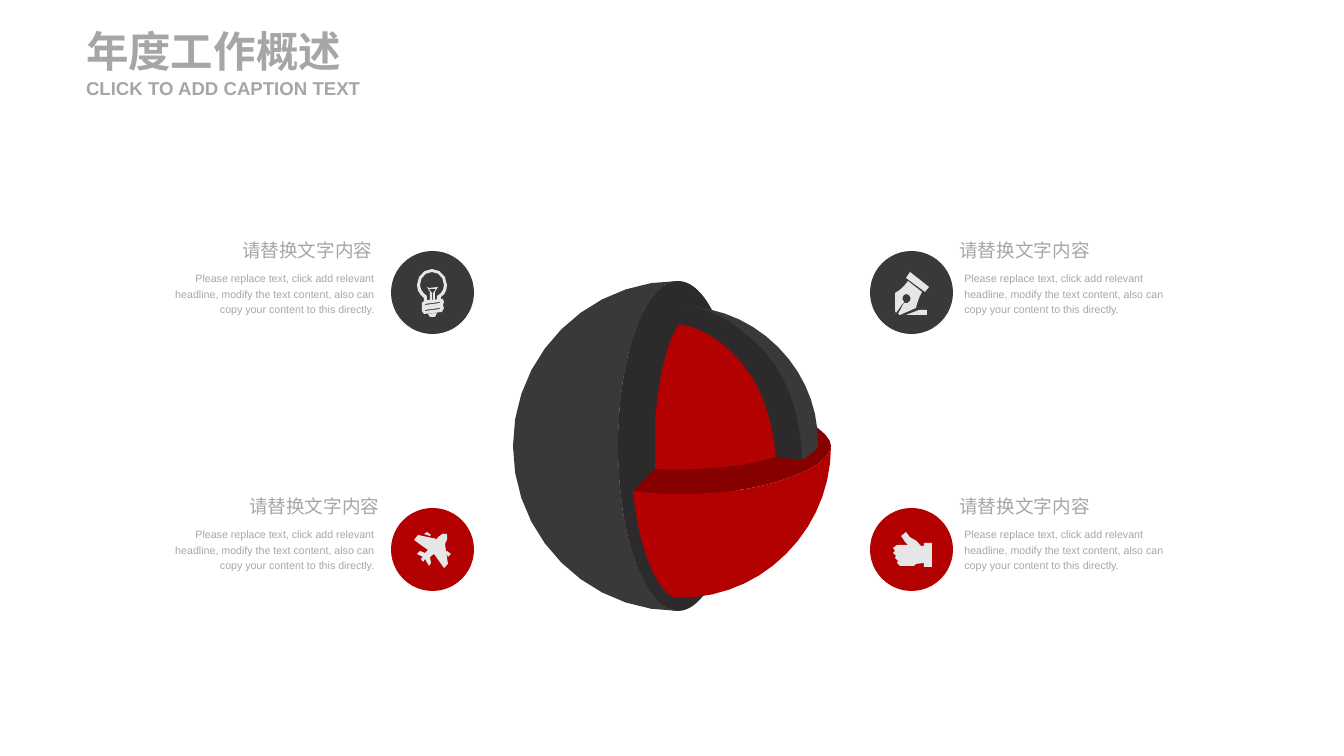
from math import ceil, dist, sqrt

from pptx import Presentation
from pptx.dml.color import RGBColor
from pptx.enum.shapes import MSO_SHAPE
from pptx.enum.text import MSO_ANCHOR, MSO_AUTO_SIZE, PP_ALIGN
from pptx.util import Pt

PX = 9565  # EMU per pixel
COLORS = {"dark": "3A3838", "shade": "2C2A2A", "red": "B30000",
          "deep": "860000", "icon": "E7E6E6", "text": "A6A6A6"}

deck = Presentation()
deck.slide_width, deck.slide_height = 1344 * PX, 756 * PX
slide = deck.slides.add_slide(deck.slide_layouts[5])
shapes = slide.shapes


def trace(color, *loops):
    """Fill loops of points (x, y) and cubic curves (two handles, end)."""
    pen = None
    for loop in loops:
        x, y = loop[0]
        dots = []
        for part in loop[1:]:
            if len(part) == 6:
                a, b, c, d, e, f = part
                # Longer curves get more straight pieces
                steps = ceil(0.6 * sqrt(dist((x, y), (e, f))))
                for i in range(1, steps + 1):
                    t = i / steps
                    u = 1 - t
                    dots.append((
                        (u**3 * x + 3*u*u*t * a + 3*u*t*t * c + t**3 * e) * PX,
                        (u**3 * y + 3*u*u*t * b + 3*u*t*t * d + t**3 * f) * PX))
            else:
                dots.append((part[0] * PX, part[1] * PX))
            x, y = part[-2:]
        start = (loop[0][0] * PX, loop[0][1] * PX)
        if pen is None:
            pen = shapes.build_freeform(*start, scale=1.0)
        else:
            pen.move_to(*start)
        pen.add_line_segments(dots, close=True)
    shape = pen.convert_to_shape()
    shape.shadow.inherit = False
    shape.fill.solid()
    shape.fill.fore_color.rgb = RGBColor.from_string(COLORS[color])
    shape.line.fill.background()


def write(shape, box, text, size, align=PP_ALIGN.LEFT, wrap=True, head=False):
    shape.left, shape.top, shape.width, shape.height = [v * PX for v in box]
    frame = shape.text_frame
    frame.word_wrap = wrap
    frame.auto_size = MSO_AUTO_SIZE.SHAPE_TO_FIT_TEXT
    para = frame.paragraphs[0]
    para.alignment = align
    if head:
        frame.vertical_anchor = MSO_ANCHOR.MIDDLE
        frame.margin_left = frame.margin_right = 0
        frame.margin_top = frame.margin_bottom = 0
    else:
        para.line_spacing = 1.2
    run = para.add_run()
    run.text = text
    run.font.name = "Arial"
    run.font.size = Pt(size)
    run.font.bold = head
    run.font.color.rgb = RGBColor.from_string(COLORS["text"])


# Title and caption
write(shapes.title, (86, 25, 293, 52), "年度工作概述", 32, head=True)
write(shapes.add_textbox(0, 0, 0, 0), (86, 77, 293, 23),
      "CLICK TO ADD CAPTION TEXT", 14, head=True)

# Disks and the cut face of the sphere
disks = [(618, 281, 120, 330, "shade")]
for x in (870, 391):
    disks += [(x, 508, 83, 83, "red"), (x, 251, 83, 83, "dark")]
for x, y, w, h, color in disks:
    disk = shapes.add_shape(MSO_SHAPE.OVAL, x * PX, y * PX, w * PX, h * PX)
    disk.shadow.inherit = False
    disk.fill.solid()
    disk.fill.fore_color.rgb = RGBColor.from_string(COLORS[color])
    disk.line.fill.background()

# Sphere parts, from back to front
ball = [
    ("dark", [(618, 446), (618, 355, 645, 281, 678, 281),
              (587, 281, 513, 355, 513, 446), (513, 537, 587, 611, 678, 611),
              (645, 611, 618, 537, 618, 446)]),
    ("deep", [(791, 415), (772, 408, 749, 403, 724, 401), (633, 491),
              (647, 493, 662, 494, 678, 494), (721, 494, 761, 489, 791, 477),
              (820, 467, 831, 454, 831, 446), (831, 438, 820, 425, 791, 415)]),
    ("red", [(831, 446), (831, 454, 820, 467, 791, 477),
             (761, 489, 721, 494, 678, 494), (662, 494, 647, 493, 633, 491),
             (636, 517, 640, 540, 647, 558), (658, 588, 670, 598, 678, 598),
             (719, 598, 757, 583, 786, 554), (815, 525, 831, 487, 831, 446)]),
    ("dark", [(762, 352), (785, 381, 802, 422, 802, 460),
              (814, 453, 818, 448, 818, 446), (819, 408, 804, 373, 778, 347),
              (751, 320, 716, 306, 678, 306), (716, 306, 754, 341, 762, 352)]),
    ("shade", [(678, 306), (678, 446), (802, 460),
               (802, 422, 789, 376, 762, 349), (741, 328, 716, 306, 678, 306)]),
    ("red", [(776, 457), (773, 423, 762, 387, 744, 366),
             (724, 342, 704, 328, 679, 324), (676, 328, 673, 334, 670, 342),
             (662, 364, 657, 392, 655, 423), (655, 469),
             (679, 471, 740, 469, 776, 457)]),
]
for color, loop in ball:
    trace(color, loop)

# Icons on the disks
thumb = [[(906, 532), (894, 534, 908, 544, 908, 545), (897, 545), (893, 548),
          (895, 551), (893, 553), (896, 556), (895, 558), (898, 561),
          (897, 563), (900, 566), (914, 566), (916, 564), (924, 563),
          (924, 567), (932, 567), (932, 543), (924, 543), (924, 546),
          (921, 546), (919, 539, 907, 539, 906, 532)]]
plane = [[(447, 534), (448, 538, 447, 541, 445, 544), (448, 564),
          (444, 568), (434, 554), (430, 557), (431, 563), (429, 566),
          (425, 559), (423, 562), (421, 559), (423, 557), (417, 554),
          (420, 551), (425, 553), (428, 550), (414, 540), (418, 535),
          (437, 539), (438, 537), (441, 533, 445, 533, 447, 534)],
         [(451, 554), (447, 551), (446, 552), (448, 557)],
         [(427, 532), (424, 534), (430, 536), (431, 535)]]
nib = [[(896, 313), (895, 311), (895, 293), (899, 291, 904, 287, 908, 281),
        (922, 292), (919, 297, 917, 303, 916, 308), (900, 315), (898, 314),
        (904, 303), (906, 304, 909, 303, 910, 301),
        (911, 299, 911, 297, 909, 295), (907, 293, 904, 294, 903, 296),
        (902, 298, 902, 300, 904, 302)],
       [(906, 315), (927, 315), (927, 310), (919, 310)],
       [(925, 292), (929, 287), (910, 272), (906, 278)]]
bulb = [[(432, 269), (440, 269, 447, 276, 447, 285),
         (447, 290, 445, 295, 441, 297), (441, 299), (443, 299), (444, 302),
         (443, 305), (444, 308), (442, 312), (424, 314), (422, 311),
         (422, 307), (422, 303), (424, 301), (424, 298),
         (420, 295, 417, 291, 417, 285), (417, 276, 424, 269, 432, 269)],
        [(429, 288), (427, 287), (430, 292), (430, 300), (427, 300),
         (427, 296), (424, 294, 420, 290, 420, 285),
         (420, 278, 425, 272, 432, 272), (439, 272, 444, 278, 444, 285),
         (444, 290, 441, 294, 437, 296), (437, 299), (435, 300), (435, 292),
         (438, 287)],
        [(429, 289), (432, 293), (432, 300), (433, 300), (433, 293),
         (436, 289)],
        [(437, 313), (428, 314), (430, 317), (435, 317)],
        [(440, 308), (425, 310), (425, 311), (440, 309)],
        [(440, 302), (425, 304), (425, 305), (440, 303)]]
for icon in (thumb, plane, nib, bulb):
    trace("icon", *icon)

# Captions beside the disks
BODY = ("Please replace text, click add relevant headline, modify the text "
        "content, also can copy your content to this directly.")
for left, head, top, align in ((955, 950, 230, PP_ALIGN.LEFT),
                               (955, 950, 486, PP_ALIGN.LEFT),
                               (152, 238, 486, PP_ALIGN.RIGHT),
                               (152, 231, 230, PP_ALIGN.RIGHT)):
    write(shapes.add_textbox(0, 0, 0, 0), (left, top + 35, 232, 54),
          BODY, 8, align)
    write(shapes.add_textbox(0, 0, 0, 0), (head, top, 151, 34),
          "请替换文字内容", 14, align, wrap=False)

deck.save("out.pptx")
